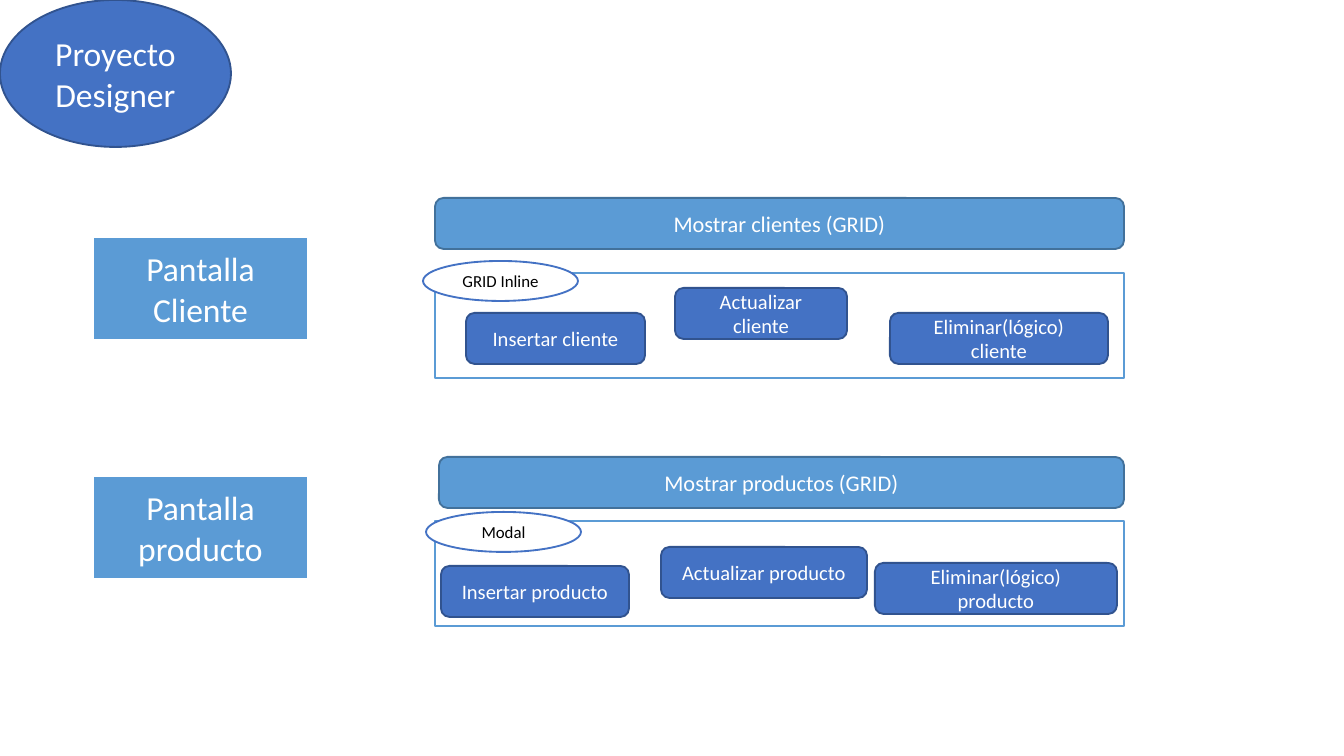
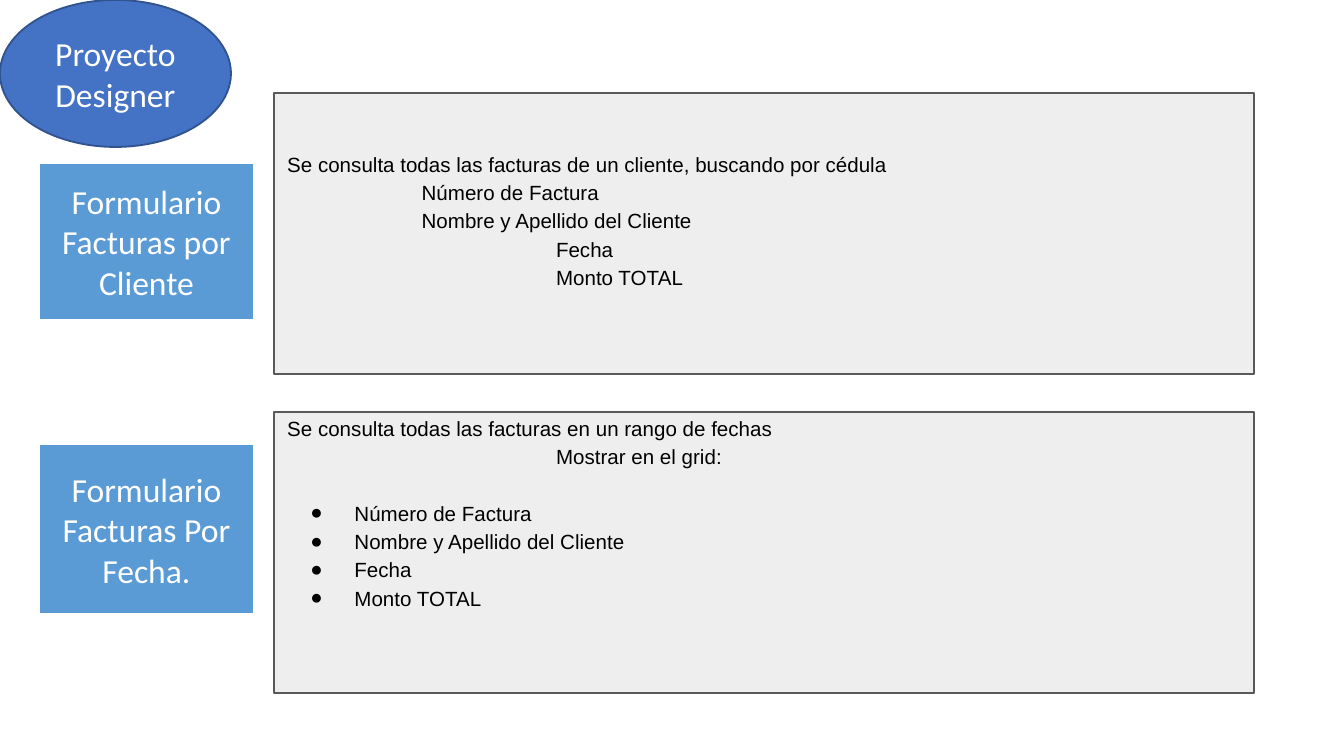
from dataclasses import dataclass
from lxml.etree import SubElement
from pptx import Presentation
from pptx.dml.color import RGBColor
from pptx.enum.shapes import MSO_SHAPE as Shape
from pptx.enum.text import MSO_ANCHOR as Anchor, PP_ALIGN as Align
from pptx.oxml.ns import qn
from pptx.util import Pt

PIXEL = 914400 / 134.4
TAB = 134.4


@dataclass(frozen=True)
class Style:
    fill: str
    line: str
    width: float = 1
    size: float = 11
    ink: str = "FFFFFF"


@dataclass(frozen=True)
class Theme:
    font: str = "Calibri"
    body_font: str = "Arial"
    badge: Style = Style("4472C4", "31538F", size=18)
    label: Style = Style("5B9BD5", "FFFFFF", 1.5, 18)
    bar: Style = Style("5B9BD5", "42719B", size=12)
    button: Style = Style("4472C4", "31538F")
    frame: Style = Style("FFFFFF", "5B9BD5")
    tag: Style = Style("FFFFFF", "4472C4", size=9, ink="000000")
    panel: Style = Style("EEEEEE", "595959", 0.75, ink="000000")
    line_spacing: float = 1.15
    line_gap: float = 15.2


THEME = Theme()


def px(value):
    return round(value * PIXEL)


def color(code):
    return RGBColor.from_string(code)


def add_span(para, text, style, font):
    span = para.add_run()
    span.text = text
    span.font.name = font
    span.font.size = Pt(style.size)
    span.font.color.rgb = color(style.ink)


def add_box(page, kind, area, style, text=""):
    box = page.shapes.add_shape(kind, *map(px, area))
    box.shadow.inherit = False
    box.fill.solid()
    box.fill.fore_color.rgb = color(style.fill)
    box.line.color.rgb = color(style.line)
    box.line.width = Pt(style.width)
    if text:
        frame = box.text_frame
        frame.word_wrap = True
        frame.vertical_anchor = Anchor.MIDDLE
        para = frame.paragraphs[0]
        para.alignment = Align.CENTER
        add_span(para, text, style, THEME.font)
    return box


def set_indent(para, left, hanging=0):
    properties = para._p.get_or_add_pPr()
    properties.set("marL", str(px(left)))
    properties.set("indent", str(px(-hanging)))
    return properties


def set_bullet(para):
    properties = set_indent(para, TAB / 2, 44)
    tint = SubElement(properties, qn("a:buClr"))
    SubElement(tint, qn("a:srgbClr"), val=THEME.panel.ink)
    SubElement(properties, qn("a:buFont"), typeface=THEME.body_font)
    SubElement(properties, qn("a:buChar"), char="●")


def add_panel(page, top, inset, lines, bullets=()):
    box = add_box(page, Shape.RECTANGLE, (274, top, 980, 281), THEME.panel)
    frame = box.text_frame
    frame.word_wrap = True
    frame.vertical_anchor = Anchor.TOP
    frame.margin_top = px(inset)
    frame.margin_bottom = 0
    entries = [*lines, *((text, None) for text in bullets)]
    for index, (text, tabs) in enumerate(entries):
        para = frame.add_paragraph() if index else frame.paragraphs[0]
        para.alignment = Align.LEFT
        para.line_spacing = THEME.line_spacing
        if index == len(lines):
            para.space_before = Pt(THEME.line_gap)
        if tabs is None:
            set_bullet(para)
        else:
            set_indent(para, tabs * TAB)
        add_span(para, text, THEME.panel, THEME.body_font)


def add_page(deck):
    page = deck.slides.add_slide(deck.slide_layouts[6])
    add_box(page, Shape.OVAL, (0, 0, 231, 147), THEME.badge, "Proyecto Designer")
    return page


def add_label(page, left, top, height, text):
    add_box(page, Shape.RECTANGLE, (left, top, 215, height), THEME.label, text)


def add_screen(page, label, bar, frame_top, tag, buttons):
    top, text = label
    add_label(page, 93, top, 103, text)
    left, top, text = bar
    add_box(page, Shape.ROUNDED_RECTANGLE, (left, top, 1124 - left, 51), THEME.bar, text)
    add_box(page, Shape.RECTANGLE, (435, frame_top, 689, 105), THEME.frame)
    left, top, text = tag
    add_box(page, Shape.OVAL, (left, top, 155, 40), THEME.tag, text)
    for left, top, width, text in buttons:
        add_box(page, Shape.ROUNDED_RECTANGLE, (left, top, width, 51), THEME.button, text)


def build_screens(deck):
    page = add_page(deck)
    add_screen(page, (237, "Pantalla Cliente"),
               (435, 198, "Mostrar clientes (GRID)"), 273,
               (423, 261, "GRID Inline"),
               [(466, 313, 179, "Insertar cliente"),
                (675, 288, 172, "Actualizar cliente"),
                (890, 313, 218, "Eliminar(lógico) cliente")])
    add_screen(page, (476, "Pantalla producto"),
               (439, 457, "Mostrar productos (GRID)"), 521,
               (426, 512, "Modal"),
               [(441, 566, 188, "Insertar producto"),
                (661, 547, 206, "Actualizar producto"),
                (875, 563, 242, "Eliminar(lógico) producto")])


def build_forms(deck):
    page = add_page(deck)
    fields = ("Número de Factura", "Nombre y Apellido del Cliente",
              "Fecha", "Monto TOTAL")
    add_panel(page, 93, 55,
              [("Se consulta todas las facturas de un cliente, buscando por cédula", 0),
               *zip(fields, (1, 1, 2, 2))])
    add_panel(page, 412, 0,
              [("Se consulta todas las facturas en un rango de fechas", 0),
               ("Mostrar en el grid:", 2)], fields)
    add_label(page, 39, 163, 157, "Formulario Facturas por Cliente")
    add_label(page, 39, 444, 171, "Formulario Facturas Por Fecha.")


def main():
    deck = Presentation()
    deck.slide_width = px(1344)
    deck.slide_height = px(756)
    build_screens(deck)
    build_forms(deck)
    deck.save("out.pptx")


main()
